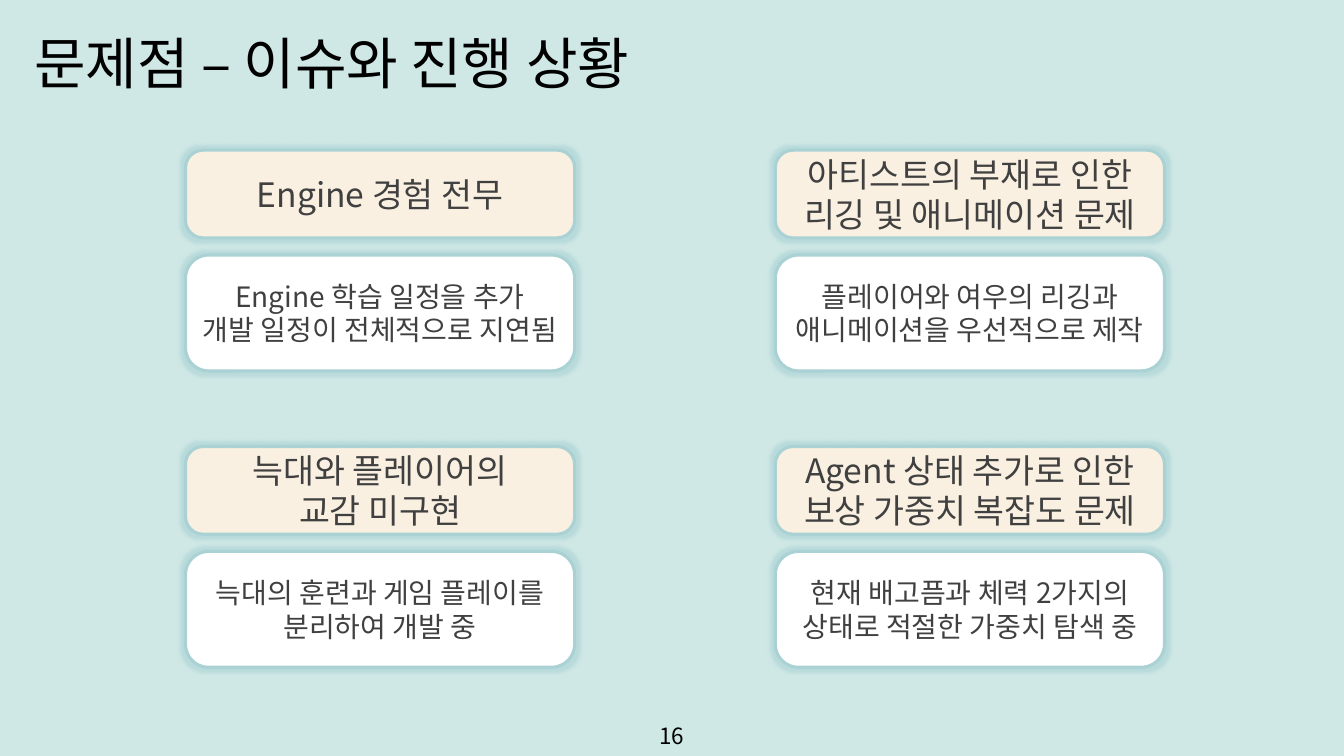
import lxml.etree
import pptx
import pptx.dml.color
import pptx.enum.shapes
import pptx.enum.text
import pptx.oxml.ns
import pptx.util

RGB = pptx.dml.color.RGBColor
ALIGN = pptx.enum.text.PP_ALIGN
MIDDLE = pptx.enum.text.MSO_ANCHOR.MIDDLE
ROUND = pptx.enum.shapes.MSO_SHAPE.ROUNDED_RECTANGLE
qn = pptx.oxml.ns.qn

MINT = RGB(0xCF, 0xE8, 0xE5)
TEAL = RGB(0xAA, 0xD2, 0xD5)
CREAM = RGB(0xF9, 0xF0, 0xE1)
WHITE = RGB(0xFF, 0xFF, 0xFF)
GREY = RGB(0x40, 0x40, 0x40)
BLACK = RGB(0x00, 0x00, 0x00)

FONT = "Noto Sans CJK KR"
SCALE = 9144  # EMU per px, 100 px to the inch
LEADING = 1.19

LEFT, TOP = 184, 149
STEP_X, STEP_Y = 585, 294
WIDTH, HEAD, BODY = 386, 87, 115
DROP = 104

# Row by row: heading lines, body lines
ISSUES = [
    [
        (["Engine 경험 전무"],
         ["Engine 학습 일정을 추가", "개발 일정이 전체적으로 지연됨"]),
        (["아티스트의 부재로 인한", "리깅 및 애니메이션 문제"],
         ["플레이어와 여우의 리깅과", "애니메이션을 우선적으로 제작"]),
    ],
    [
        (["늑대와 플레이어의", "교감 미구현"],
         ["늑대의 훈련과 게임 플레이를 분리하여 개발 중"]),
        (["Agent 상태 추가로 인한 보상 가중치 복잡도 문제"],
         ["현재 배고픔과 체력 2가지의", "상태로 적절한 가중치 탐색 중"]),
    ],
]


def px(*sizes):
    return [pptx.util.Emu(size * SCALE) for size in sizes]


def write(frame, lines, size, color, align):
    """Fill a text frame with one paragraph, broken between the lines."""
    frame.word_wrap = True
    para = frame.paragraphs[0]
    para.alignment = align
    para.line_spacing = pptx.util.Pt(round(size * LEADING, 1))
    for index, line in enumerate(lines):
        if index:
            para.add_line_break()
        run = para.add_run()
        run.text = line
        font = run.font
        font.size = pptx.util.Pt(size)
        font.color.rgb = color
        font.name = FONT
        east = lxml.etree.SubElement(run._r.get_or_add_rPr(), qn("a:ea"))
        east.set("typeface", FONT)


def add_text(slide, box, line, size, align):
    frame = slide.shapes.add_textbox(*px(*box)).text_frame
    write(frame, [line], size, BLACK, align)
    return frame


def add_glow(shape):
    effects = shape._element.spPr.find(qn("a:effectLst"))
    glow = lxml.etree.SubElement(effects, qn("a:glow"), rad="63500")
    color = lxml.etree.SubElement(glow, qn("a:srgbClr"), val=str(TEAL))
    lxml.etree.SubElement(color, qn("a:alpha"), val="60000")


def add_box(group, box, fill, lines, size):
    shape = group.shapes.add_shape(ROUND, *px(*box))
    shape.adjustments[0] = 0.2
    shape.shadow.inherit = False
    add_glow(shape)
    shape.fill.solid()
    shape.fill.fore_color.rgb = fill
    shape.line.color.rgb = TEAL
    shape.line.width = pptx.util.Pt(2.25)
    shape.text_frame.vertical_anchor = MIDDLE
    write(shape.text_frame, lines, size, GREY, ALIGN.CENTER)


def add_issue(slide, left, top, head, body):
    group = slide.shapes.add_group_shape()
    add_box(group, (left, top + DROP, WIDTH, BODY), WHITE, body, 20)
    add_box(group, (left, top, WIDTH, HEAD), CREAM, head, 24)


def main():
    deck = pptx.Presentation()
    deck.slide_width, deck.slide_height = px(1333, 750)
    slide = deck.slides.add_slide(deck.slide_layouts[6])
    slide.background.fill.solid()
    slide.background.fill.fore_color.rgb = MINT

    add_text(slide, (24, 24, 611, 77), "문제점 – 이슈와 진행 상황", 40, ALIGN.LEFT)
    for row, issues in enumerate(ISSUES):
        for col, (head, body) in enumerate(issues):
            add_issue(slide, LEFT + col * STEP_X, TOP + row * STEP_Y, head, body)
    page = add_text(slide, (618, 710, 97, 40), "16", 16, ALIGN.CENTER)
    page.vertical_anchor = MIDDLE

    deck.save("out.pptx")


if __name__ == "__main__":
    main()
